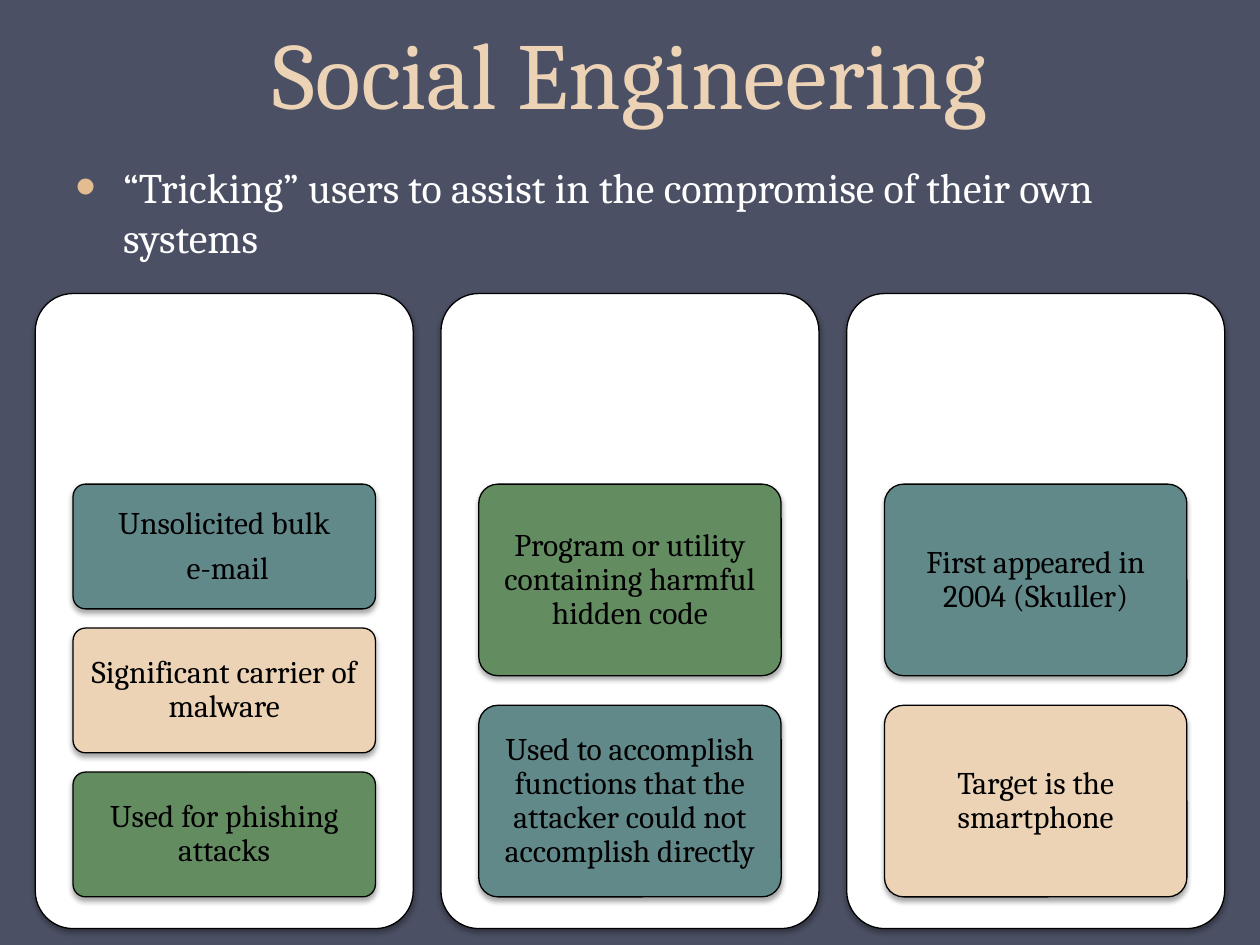
from lxml import etree
from pptx import Presentation
from pptx.dml.color import RGBColor
from pptx.enum import shapes, text
from pptx.oxml import ns
from pptx.util import Inches, Pt

# Content
TITLE = "Social Engineering"
BULLET = "“Tricking” users to assist in the compromise of their own systems"
TEAL, SAND, GREEN = "61898A", "EDD3B6", "648C61"
COLUMNS = [
    [(["Unsolicited bulk", " e-mail"], TEAL),
     (["Significant carrier of malware"], SAND),
     (["Used for phishing attacks"], GREEN)],
    [(["Program or utility containing harmful hidden code"], GREEN),
     (["Used to accomplish functions that the attacker could not "
       "accomplish directly"], TEAL)],
    [(["First appeared in 2004 (Skuller)"], TEAL),
     (["Target is the smartphone"], SAND)],
]

# Grid, in inches
WIDTH, HEIGHT = 10, 7.5
PANEL_W, PANEL_H, PANEL_TOP, PITCH = 3, 5.04, 2.33, 3.22
PANEL_LEFT = (WIDTH - PANEL_W - 2 * PITCH) / 2
CARD_W = 0.8 * PANEL_W
STACK_TOP = PANEL_TOP + 0.3 * PANEL_H
STACK_H = 0.65 * PANEL_H
GAP_SHARE = 0.154  # gap between cards as a share of card height

FONT = "Cambria"
CARD_FORMAT = {"alignment": text.PP_ALIGN.CENTER, "line_spacing": 0.9,
               "space_after": Pt(6.3)}


def color(value):
    return RGBColor.from_string(value)


def set_all(target, values):
    for name, value in values.items():
        setattr(target, name, value)


def write(box, lines, size, ink, frame_format, para_format):
    frame = box.text_frame
    set_all(frame, {"word_wrap": True, **frame_format})
    for index, line in enumerate(lines):
        para = frame.add_paragraph() if index else frame.paragraphs[0]
        set_all(para, para_format)
        span = para.add_run()
        span.text = line
        set_all(span.font, {"name": FONT, "size": Pt(size)})
        span.font.color.rgb = color(ink)
    return frame


def add_shadow(shape):
    shape.shadow.inherit = False
    effects = shape._element.spPr.find(ns.qn("a:effectLst"))
    outer = etree.SubElement(effects, ns.qn("a:outerShdw"), blurRad=str(Pt(3.1)),
                             dist=str(Pt(1.8)), dir="5400000", rotWithShape="0")
    black = etree.SubElement(outer, ns.qn("a:srgbClr"), val="000000")
    etree.SubElement(black, ns.qn("a:alpha"), val="35000")


def add_card(page, left, top, width, height, fill):
    card = page.shapes.add_shape(shapes.MSO_SHAPE.ROUNDED_RECTANGLE,
                                 *map(Inches, (left, top, width, height)))
    card.adjustments[0] = 0.1
    card.fill.solid()
    card.fill.fore_color.rgb = color(fill)
    card.line.color.rgb = color("000000")
    card.line.width = Pt(0.75)
    add_shadow(card)
    return card


def add_bullet(para):
    props = para._p.get_or_add_pPr()
    set_indent = Inches(0.38)
    props.set("marL", str(set_indent))
    props.set("indent", str(-set_indent))
    ink = etree.SubElement(props, ns.qn("a:buClr"))
    etree.SubElement(ink, ns.qn("a:srgbClr"), val="E3BC92")
    etree.SubElement(props, ns.qn("a:buSzPct"), val="140000")
    etree.SubElement(props, ns.qn("a:buFont"), typeface="Arial")
    etree.SubElement(props, ns.qn("a:buChar"), char="•")


def main():
    deck = Presentation()
    deck.slide_width, deck.slide_height = Inches(WIDTH), Inches(HEIGHT)
    page = deck.slides.add_slide(deck.slide_layouts[6])
    page.background.fill.solid()
    page.background.fill.fore_color.rgb = color("4B5064")

    # Title and bullet
    title = page.shapes.add_textbox(*map(Inches, (0.5, 0, 9, 1.07)))
    write(title, [TITLE], 54, SAND, {"vertical_anchor": text.MSO_ANCHOR.BOTTOM},
          {"alignment": text.PP_ALIGN.CENTER, "line_spacing": Pt(58)})
    body = page.shapes.add_textbox(*map(Inches, (0.5, 1.23, 9, 1.42)))
    frame = write(body, [BULLET], 24, "FFFFFF", {}, {"space_before": Pt(4.8)})
    add_bullet(frame.paragraphs[0])

    # Panels, each with an evenly spaced stack of cards
    card_frame = {"vertical_anchor": text.MSO_ANCHOR.MIDDLE}
    for side in ("left", "right", "top", "bottom"):
        card_frame["margin_" + side] = Inches(0.08)
    for column, cards in enumerate(COLUMNS):
        left = PANEL_LEFT + column * PITCH
        add_card(page, left, PANEL_TOP, PANEL_W, PANEL_H, "FFFFFF")
        count = len(cards)
        height = STACK_H / (count + (count - 1) * GAP_SHARE)
        for row, (lines, fill) in enumerate(cards):
            top = STACK_TOP + row * height * (1 + GAP_SHARE)
            card = add_card(page, left + (PANEL_W - CARD_W) / 2, top,
                            CARD_W, height, fill)
            write(card, lines, 18, "000000", card_frame, CARD_FORMAT)

    deck.save("out.pptx")


if __name__ == "__main__":
    main()
